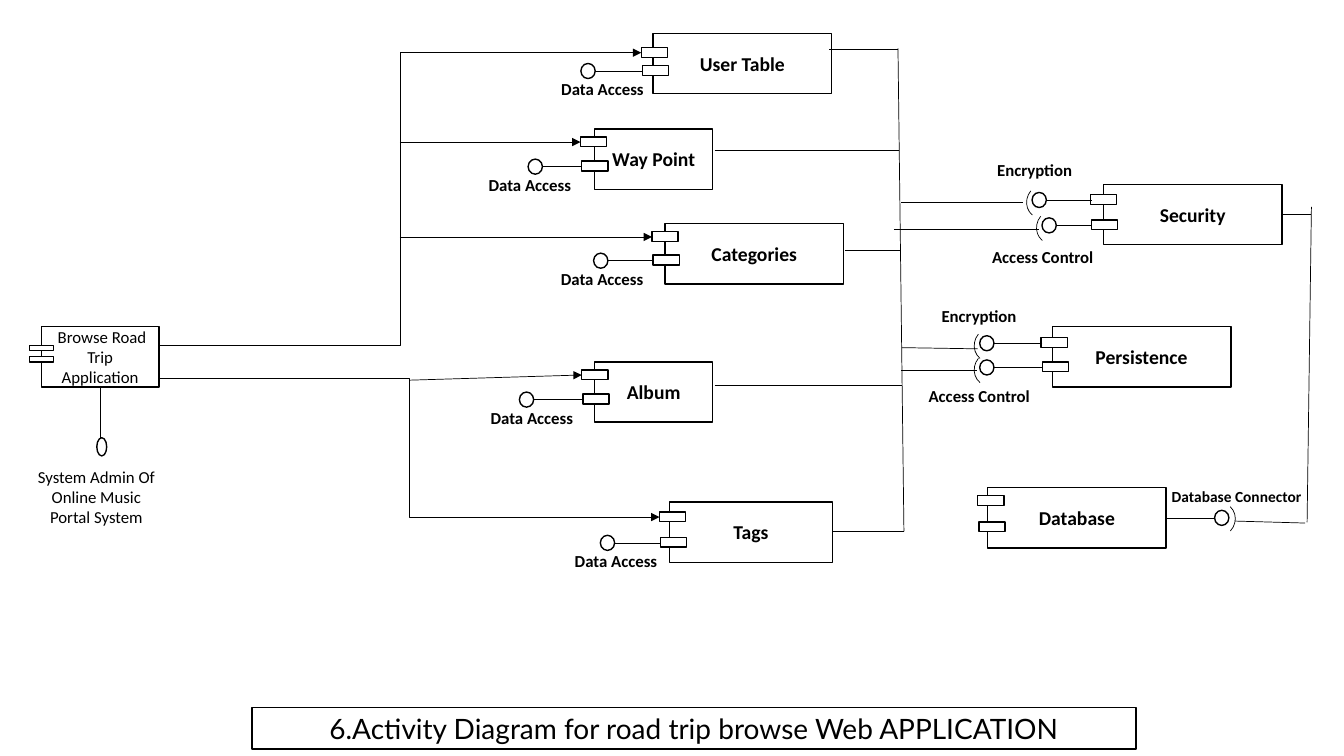
from lxml.etree import SubElement
from pptx import Presentation
from pptx.dml.color import RGBColor
from pptx.enum.shapes import MSO_CONNECTOR, MSO_SHAPE
from pptx.enum.text import MSO_ANCHOR, MSO_AUTO_SIZE, PP_ALIGN
from pptx.oxml.ns import qn
from pptx.util import Cm, Pt

COLORS = {"ink": "000000", "paper": "FFFFFF"}
TAB_W, TAB_H = 0.66, 0.25
PORT_W, PORT_H = 0.36, 0.38
BOX_H = 1.52
BUS = (22.63, 1.22, 22.78, 13.39)
TRUNK_UP, TRUNK_DOWN = 10.08, 10.31


def color(name):
    return RGBColor.from_string(COLORS[name])


def put_text(sp, text, size=12, bold=False, font="Calibri", inset=None):
    tf = sp.text_frame
    tf.word_wrap = True
    tf.auto_size = MSO_AUTO_SIZE.NONE
    tf.vertical_anchor = MSO_ANCHOR.MIDDLE
    if inset is not None:
        tf.margin_left = tf.margin_right = Cm(inset)
    p = tf.paragraphs[0]
    p.alignment = PP_ALIGN.CENTER
    r = p.add_run()
    r.text = text
    r.font.name = font
    r.font.size = Pt(size)
    r.font.bold = bold
    r.font.color.rgb = color("ink")


def outline(sp, width=1):
    sp.fill.solid()
    sp.fill.fore_color.rgb = color("paper")
    sp.line.color.rgb = color("ink")
    sp.line.width = Pt(width)


def shape(s, kind, x, y, w, h):
    sp = s.shapes.add_shape(kind, Cm(x), Cm(y), Cm(w), Cm(h))
    sp.shadow.inherit = False
    outline(sp)
    return sp


def label(s, x, y, w, h, text, **fmt):
    put_text(s.shapes.add_textbox(Cm(x), Cm(y), Cm(w), Cm(h)), text, **fmt)


def line(s, x1, y1, x2, y2, arrow=False, kind=MSO_CONNECTOR.STRAIGHT):
    cxn = s.shapes.add_connector(kind, Cm(x1), Cm(y1), Cm(x2), Cm(y2))
    cxn.line.color.rgb = color("ink")
    cxn.line.width = Pt(0.5)
    if arrow:
        SubElement(cxn.line._get_or_add_ln(), qn("a:tailEnd"), type="triangle")
    SubElement(cxn._element.spPr, qn("a:effectLst"))


def port(s, x, y, line_x):
    line(s, line_x, y, x + PORT_W / 2, y)
    shape(s, MSO_SHAPE.OVAL, x, y - PORT_H / 2, PORT_W, PORT_H)


def socket(s, x, y, rotation):
    sp = shape(s, MSO_SHAPE.ARC, x, y, 0.84, 0.89)
    sp.fill.background()
    sp.line.width = Pt(0.5)
    sp.rotation = rotation


def component(s, x, y, w, name, tab_dx, tab_dys):
    put_text(shape(s, MSO_SHAPE.RECTANGLE, x, y, w, BOX_H), name, size=14, bold=True)
    for i, dy in enumerate(tab_dys):
        shape(s, MSO_SHAPE.RECTANGLE, x + tab_dx + 0.03 * i, y + dy, TAB_W, TAB_H)


def bus_x(y):
    x1, y1, x2, y2 = BUS
    return x1 + (x2 - x1) * (y - y1) / (y2 - y1)


def data_component(s, x, y, w, name, tab_dx, tab_dys, port_dx, label_dx, stub_gap, stub_dy):
    component(s, x, y, w, name, tab_dx, tab_dys)
    tab_x, tab_y = x + tab_dx + 0.03, y + tab_dys[1]
    port(s, tab_x + port_dx, tab_y + 0.14, tab_x)
    label(s, tab_x + label_dx, tab_y + 0.13, 2.67, 0.94, "Data Access", bold=True, inset=0)
    stub_y = y + stub_dy
    line(s, x + w + stub_gap, stub_y, bus_x(stub_y), stub_y)
    return x + tab_dx, y + tab_dys[0] + 0.13


def service_component(s, x, y, w, name, tab_dx, tab_dys, port_dxs, feeds, labels):
    component(s, x, y, w, name, tab_dx, tab_dys)
    for tab_dy, port_dx, (x1, y1, x2, y2) in zip(tab_dys, port_dxs, feeds):
        port_y = y + tab_dy + 0.14
        port(s, x + port_dx, port_y, x + tab_dx + 0.03)
        socket(s, x + port_dx - 0.13, port_y - 0.41, 219.6)
        line(s, x + x1, y + y1, x + x2, y + y2)
    for text, dx, dy, label_w in labels:
        label(s, x + dx, y + dy, label_w, 0.94, text, bold=True, inset=0)


def database(s, x, y, w):
    component(s, x, y, w, "Database", -0.25, (0.2, 0.86))
    port_x, port_y = x + w + 1.22, y + 0.76
    port(s, port_x, port_y, x + w)
    socket(s, port_x - 0.33, port_y - 0.4, 43.1)
    label(s, x + w - 0.28, y - 0.25, 4.11, 0.94, "Database Connector", size=11, bold=True, inset=0)
    line(s, x + w + 1.73, y + 0.84, x + w + 3.5, y + 0.89)


def application(s, x, y, w):
    sp = shape(s, MSO_SHAPE.RECTANGLE, x, y, w, BOX_H)
    put_text(sp, " Browse Road Trip Application")
    for dy in (0.48, 0.76):
        shape(s, MSO_SHAPE.RECTANGLE, x - 0.3, y + dy, 0.61, 0.13)
    line(s, x + w / 2, y + BOX_H, x + w / 2, y + 2.8)
    shape(s, MSO_SHAPE.OVAL, x + 1.4, y + 2.8, 0.25, 0.46)
    label(s, x - 0.4, y + 3.43, 3.58, 1.73, "System Admin Of Online Music Portal System")
    return x + w, y + 0.48, y + 1.3


def title(s, x, y, w, h):
    sp = s.shapes.title
    sp.left, sp.top, sp.width, sp.height = Cm(x), Cm(y), Cm(w), Cm(h)
    outline(sp)
    put_text(sp, "6.Activity Diagram for road trip browse Web APPLICATION", size=20, font="Lato")


def main():
    prs = Presentation()
    prs.slide_width, prs.slide_height = Cm(33.87), Cm(19.05)
    s = prs.slides.add_slide(prs.slide_layouts[5])
    title(s, 6.35, 17.83, 22.28, 1.04)
    app_x, upper_y, lower_y = application(s, 1.04, 8.23, 2.97)

    tables = [
        (16.46, 0.84, 4.5, "User Table", -0.3, (0.36, 0.81), -1.55, -2.34, -0.06, 0.4),
        (14.99, 3.25, 2.97, "Way Point", -0.36, (0.2, 0.81), -1.35, -2.64, 0.05, 0.53),
        (16.76, 5.64, 4.5, "Categories", -0.33, (0.2, 0.79), -1.5, -2.62, 0.03, 0.66),
        (14.99, 9.12, 2.97, "Album", -0.33, (0.2, 0.81), -1.6, -2.62, 0.05, 0.6),
        (16.87, 12.65, 4.11, "Tags", -0.25, (0.25, 0.89), -1.52, -2.46, 0, 0.75),
    ]
    user, way, categories, album, tags = [data_component(s, *t) for t in tables]
    line(s, app_x, upper_y, *user, arrow=True, kind=MSO_CONNECTOR.ELBOW)
    line(s, app_x, lower_y, *tags, arrow=True, kind=MSO_CONNECTOR.ELBOW)
    for entry in (way, categories):
        line(s, TRUNK_UP, entry[1], *entry, arrow=True)
    line(s, TRUNK_DOWN, album[1] + 0.13, *album, arrow=True)
    line(s, *BUS)

    service_component(
        s, 27.81, 4.65, 4.5, "Security", -0.33, (0.25, 0.89), (-1.8, -1.55),
        [(-5.1, 0.46, -2.03, 0.46), (-5.28, 1.12, -1.62, 1.12)],
        [("Encryption", -3.07, -0.84, 2.67), ("Access Control", -3.32, 1.34, 3.58)])
    service_component(
        s, 26.52, 8.23, 4.5, "Persistence", -0.28, (0.28, 0.89), (-1.83, -1.83),
        [(-3.79, 0.53, -1.88, 0.56), (-3.81, 1.09, -1.91, 1.09)],
        [("Encryption", -3.18, -0.74, 2.67), ("Access Control", -3.63, 1.27, 3.58)])
    database(s, 24.89, 12.29, 4.5)
    line(s, 32.94, 13.16, 33.05, 5.21)
    line(s, 32.31, 5.41, 33.05, 5.41)
    prs.save("out.pptx")


if __name__ == "__main__":
    main()
